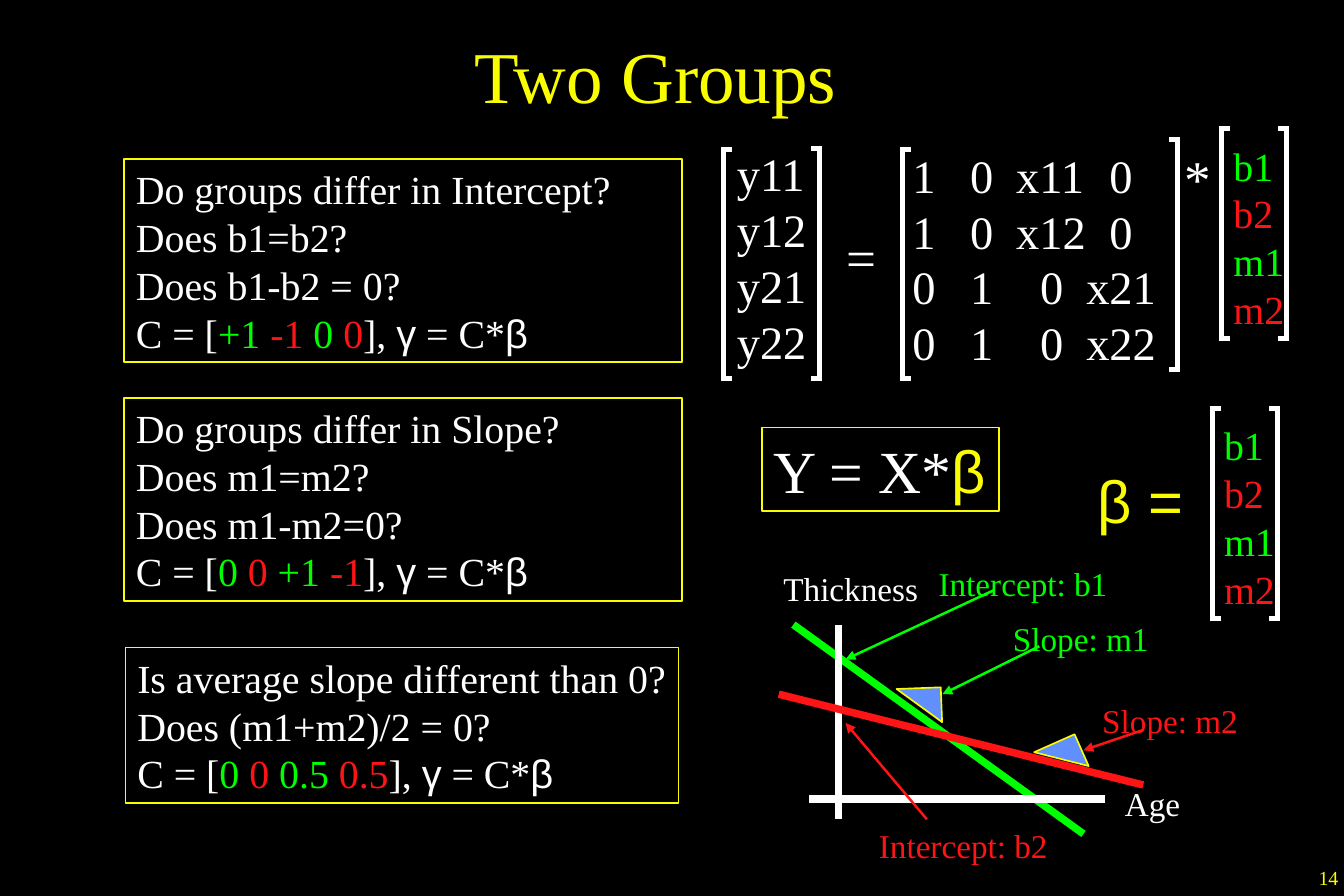
from lxml.etree import SubElement
from pptx import Presentation
from pptx.dml.color import RGBColor
from pptx.enum.shapes import MSO_CONNECTOR, MSO_SHAPE
from pptx.enum.text import MSO_ANCHOR, MSO_AUTO_SIZE, PP_ALIGN
from pptx.oxml.ns import qn
from pptx.util import Cm, Pt

BLACK = RGBColor(0x00, 0x00, 0x00)
WHITE = RGBColor(0xFF, 0xFF, 0xFF)
YELLOW = RGBColor(0xFA, 0xFD, 0x00)
GREEN = RGBColor(0x00, 0xFF, 0x00)
RED = RGBColor(0xFD, 0x14, 0x14)
BLUE = RGBColor(0x61, 0x8F, 0xFD)
SERIF, SANS = "Times New Roman", "Arial"

# Positions and sizes are in centimetres.
# Box, wraps, questions, contrast weights for group 1 and group 2 in turn
QUESTIONS = [
    ((2.64, 3.38, 11.86, 4.32), True,
     ["Do groups differ in Intercept?", "Does b1=b2?", "Does b1-b2 = 0?"],
     ["+1", "-1", "0", "0"]),
    ((2.64, 8.46, 11.86, 4.32), True,
     ["Do groups differ in Slope?", "Does m1=m2?", "Does m1-m2=0?"],
     ["0", "0", "+1", "-1"]),
    ((2.67, 13.77, 11.76, 3.3), False,
     ["Is average slope different than 0?", "Does (m1+m2)/2 = 0?"],
     ["0", "0", "0.5", "0.5"]),
]
RESPONSES = ["y11", "y12", "y21", "y22"]
GROUP1_STOPS, GROUP2_STOPS = (1.23, 2.21, 4.19), (1.23, 2.72, 3.7)
DESIGN = [
    (["1", "0", "x11", "0"], GROUP1_STOPS),
    (["1", "0", "x12", "0"], GROUP1_STOPS),
    (["0", "1", "0", "x21"], GROUP2_STOPS),
    (["0", "1", "0", "x22"], GROUP2_STOPS),
]
PARAMETERS = [("b1", GREEN), ("b2", RED), ("m1", GREEN), ("m2", RED)]
PARAMETER_CORNERS = [(25.98, 2.74), (25.78, 8.69)]
# x, top, bottom, direction of the ticks
MATRIX_BRACKETS = [
    (15.39, 3.18, 8.05, 1), (17.42, 3.15, 8.05, -1),
    (19.2, 3.18, 8.05, 1), (25.04, 2.97, 7.85, -1),
]
SYMBOLS = [
    ((17.75, 4.65, 1.14, 1.63), [("=", WHITE)], 32, None),
    ((24.94, 2.97, 1.07, 1.63), [("*", WHITE)], 32, None),
    ((16.21, 9.09, 5.03, 1.78), [("Y = X*", WHITE), ("β", YELLOW)], 36, YELLOW),
    ((23.09, 9.73, 2.84, 1.78), [("β =", YELLOW)], 36, None),
]
GRAPH_LINES = [
    ((16.87, 13.28), (23.04, 17.73), GREEN),
    ((17.83, 13.28), (17.83, 17.42), WHITE),
    ((17.2, 16.99), (23.5, 16.99), WHITE),
    ((16.56, 14.76), (24.31, 16.69), RED),
]
# Each pointer has its arrowhead at the first point
POINTERS = [
    ((17.98, 14.02), (21.13, 12.55), GREEN),
    ((20.04, 14.76), (22.1, 13.74), GREEN),
    ((23.04, 15.95), (24.31, 15.52), RED),
    ((17.98, 15.37), (19.71, 17.42), RED),
]
SLOPE_TRIANGLES = [((19.08, 14.63), 177.8), ((22.1, 15.77), 156)]
GRAPH_LABELS = [
    ("Intercept: b1", (19.71, 11.86), 4.09, GREEN),
    ("Slope: m1", (21.29, 13.03), 3.38, GREEN),
    ("Thickness", (16.41, 11.96), 3.38, WHITE),
    ("Age", (23.67, 16.54), 1.68, WHITE),
    ("Intercept: b2", (18.44, 17.42), 4.09, RED),
    ("Slope: m2", (23.19, 14.76), 3.38, RED),
]


def fill_paragraph(paragraph, runs, size):
    """Write (text, colour) runs, with Greek letters in the sans font."""
    for text, color in runs:
        run = paragraph.add_run()
        run.text = text
        run.font.size = Pt(size)
        run.font.name = SANS if text[0] in "βγ" else SERIF
        run.font.color.rgb = color


def add_text(slide, box, lines, size, outline=None, wrap=False):
    """Add a text box; without an outline it has no right margin."""
    shape = slide.shapes.add_textbox(*map(Cm, box))
    frame = shape.text_frame
    frame.word_wrap = wrap
    frame.auto_size = MSO_AUTO_SIZE.SHAPE_TO_FIT_TEXT
    if outline is None:
        frame.margin_right = 0
    else:
        shape.line.color.rgb = outline
        shape.line.width = Pt(1)
    for index, runs in enumerate(lines):
        paragraph = frame.add_paragraph() if index else frame.paragraphs[0]
        fill_paragraph(paragraph, runs, size)
    return shape


def add_line(slide, start, end, color, width, arrow=False):
    line = slide.shapes.add_connector(
        MSO_CONNECTOR.STRAIGHT, *map(Cm, (*start, *end)))
    line.line.color.rgb = color
    line.line.width = Pt(width)
    if arrow:
        SubElement(line.line._get_or_add_ln(), qn("a:headEnd"), type="triangle")
    SubElement(line._element.spPr, qn("a:effectLst"))


def add_bracket(slide, x, top, bottom, direction):
    add_line(slide, (x, top), (x, bottom), WHITE, 3)
    for y in (top, bottom):
        add_line(slide, (x - 0.05 * direction, y),
                 (x + 0.18 * direction, y), WHITE, 3)


def add_questions(slide):
    for box, wrap, questions, weights in QUESTIONS:
        lines = [[(question, WHITE)] for question in questions]
        contrast = [("C = [", WHITE)]
        for index, weight in enumerate(weights):
            gap = " " if index < len(weights) - 1 else ""
            contrast.append((weight + gap, RED if index % 2 else GREEN))
        contrast += [("], ", WHITE), ("γ", WHITE), (" = C*", WHITE), ("β", WHITE)]
        add_text(slide, box, lines + [contrast], 24, YELLOW, wrap)


def add_equations(slide):
    add_text(slide, (15.42, 2.97, 1.98, 5),
             [[(name, WHITE)] for name in RESPONSES], 28)
    design = add_text(slide, (19.15, 3, 5.69, 5),
                      [[("\t".join(row), WHITE)] for row, _ in DESIGN], 28)
    for paragraph, (_, stops) in zip(design.text_frame.paragraphs, DESIGN):
        tabs = SubElement(paragraph._p.get_or_add_pPr(), qn("a:tabLst"))
        for stop in stops:
            SubElement(tabs, qn("a:tab"), pos=str(Cm(stop)), algn="l")
    for bracket in MATRIX_BRACKETS:
        add_bracket(slide, *bracket)
    for x, top in PARAMETER_CORNERS:
        add_text(slide, (x, top + 0.14, 1.6, 4.32),
                 [[parameter] for parameter in PARAMETERS], 24)
        add_bracket(slide, x, top, top + 4.45, 1)
        add_bracket(slide, x + 1.38, top, top + 4.45, -1)
    for box, runs, size, outline in SYMBOLS:
        add_text(slide, box, [runs], size, outline)


def add_graph(slide):
    for start, end, color in GRAPH_LINES:
        add_line(slide, start, end, color, 4.5)
    for corner, angle in SLOPE_TRIANGLES:
        triangle = slide.shapes.add_shape(
            MSO_SHAPE.RIGHT_TRIANGLE, *map(Cm, (*corner, 0.94, 0.74)))
        triangle.rotation = angle
        triangle.shadow.inherit = False
        triangle.fill.solid()
        triangle.fill.fore_color.rgb = BLUE
        triangle.line.color.rgb = YELLOW
        triangle.line.width = Pt(1)
    for start, end, color in POINTERS:
        add_line(slide, start, end, color, 1.5, arrow=True)
    for text, corner, width, color in GRAPH_LABELS:
        add_text(slide, (*corner, width, 1.12), [[(text, color)]], 20)


def main():
    presentation = Presentation()
    presentation.slide_width, presentation.slide_height = Cm(28.58), Cm(19.05)
    slide = presentation.slides.add_slide(presentation.slide_layouts[5])
    slide.background.fill.solid()
    slide.background.fill.fore_color.rgb = BLACK

    title = slide.shapes.title
    title.left, title.top, title.width, title.height = map(
        Cm, (1.8, 0, 24.28, 3.18))
    title.text_frame.vertical_anchor = MSO_ANCHOR.MIDDLE
    paragraph = title.text_frame.paragraphs[0]
    paragraph.alignment = PP_ALIGN.CENTER
    fill_paragraph(paragraph, [("Two Groups", YELLOW)], 44)

    add_graph(slide)
    add_questions(slide)
    add_equations(slide)
    add_text(slide, (27.79, 18.29, 0.78, 0.76), [[("14", YELLOW)]], 12)
    presentation.save("out.pptx")


if __name__ == "__main__":
    main()
